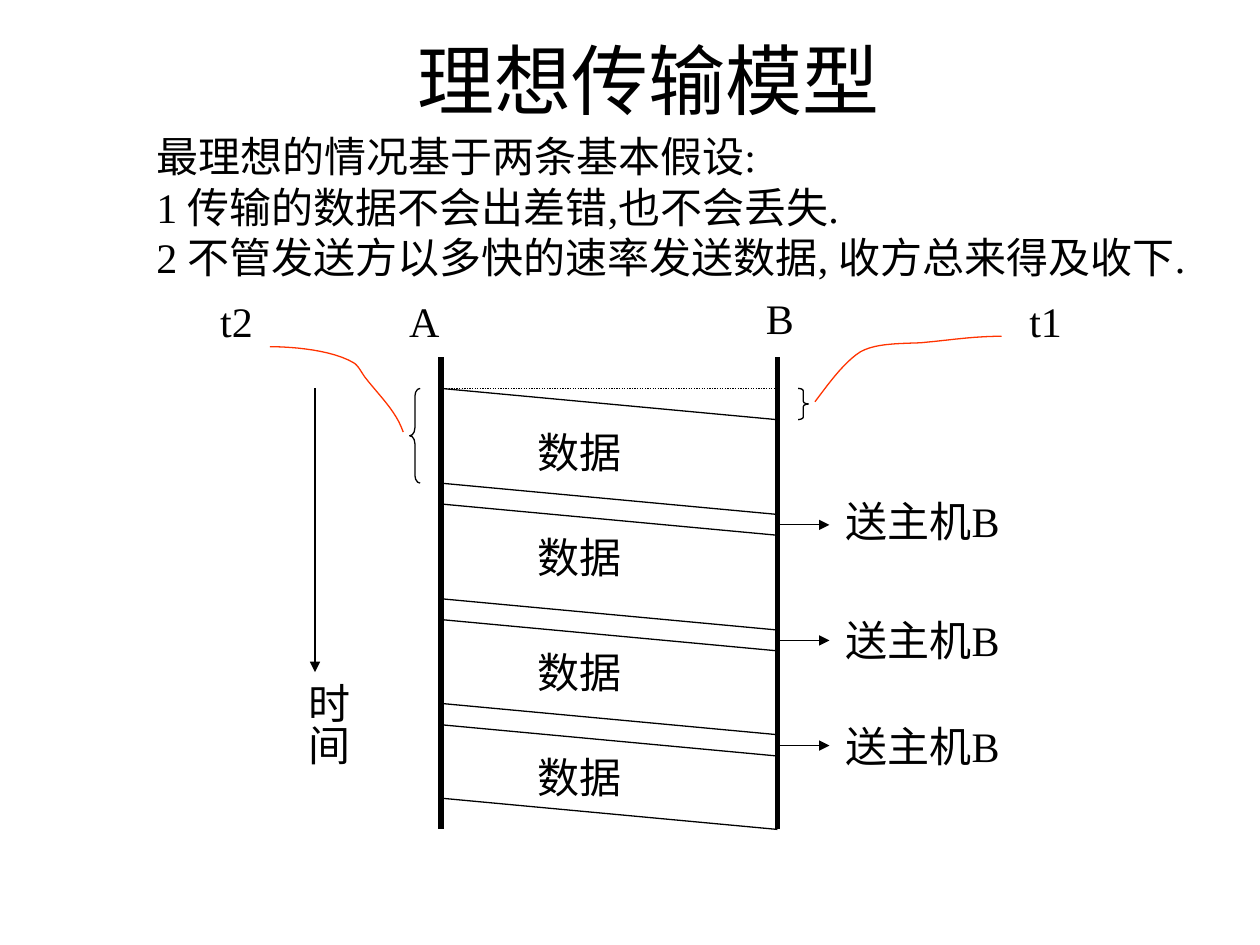
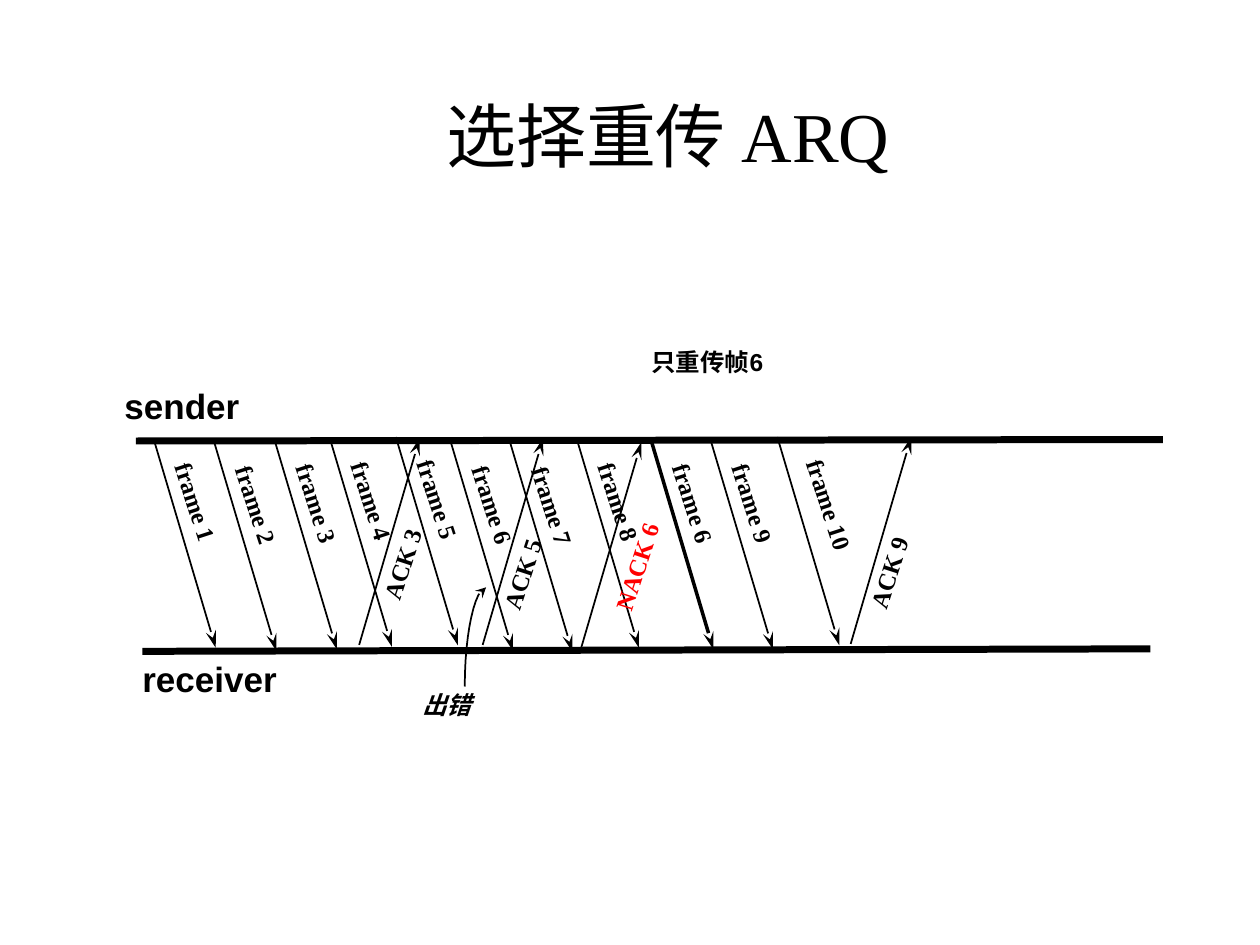
from lxml.etree import SubElement
from pptx import Presentation
from pptx.dml.color import RGBColor
from pptx.enum.dml import MSO_LINE
from pptx.enum.shapes import MSO_CONNECTOR, MSO_SHAPE as Preset
from pptx.enum.text import MSO_ANCHOR, MSO_AUTO_SIZE as AutoSize, PP_ALIGN as Align
from pptx.oxml.ns import qn
from pptx.util import Cm, Pt

COLORS = {"ink": "000000", "callout": "FF3300", "alert": "FF0000"}
SERIF, SANS = "Times New Roman", "Arial"
CURVE_STEPS = 12

# Ideal transmission: time axes of hosts A and B
HOST_A, HOST_B = 8.89, 15.67
AXIS_TOP, AXIS_BOTTOM = 7.2, 16.72
DELAY = 0.63
DATA_BLOCKS = [(7.83, 9.74, 8.47), (10.16, 12.07, 10.58),
               (12.49, 14.18, 12.91), (14.61, 16.09, 15.03)]  # start, end, label top
DELIVERIES = [(10.58, 9.86), (12.91, 12.27), (15.03, 14.4)]  # arrow y, label top

# Selective repeat: where each message leaves its time line
FRAMES = [("frame 1", 3.1, 8.86), ("frame 2", 4.32, 8.92), ("frame 3", 5.54, 8.89),
          ("frame 4", 6.65, 8.84), ("frame 5", 7.98, 8.81), ("frame 6", 9.09, 8.92),
          ("frame 7", 10.29, 8.94), ("frame 8", 11.63, 8.86), ("frame 6", 13.13, 8.89),
          ("frame 9", 14.33, 8.89), ("frame 10", 15.67, 8.81)]
RESENT = 8  # index of the frame that is sent again
REPLIES = [("ACK 3", (7.24, 13), (8.1, 11.37), "ink"),
           ("ACK 5", (9.73, 13), (10.52, 11.57), "ink"),
           ("NACK 6", (11.71, 13.08), (12.83, 11.42), "alert"),
           ("ACK 9", (17.15, 12.98), (17.91, 11.54), "ink")]
MESSAGE_WIDTH, MESSAGE_HEIGHT = 2.8, 0.84


def rgb(name):
    return RGBColor.from_string(COLORS[name])


def write(frame, text, size=24, font=SERIF, color="ink", bold=False, italic=False,
          align=None, plain_list=False):
    """Fill a text frame, one paragraph per line of text."""
    frame.text = text
    for para in frame.paragraphs:
        if plain_list:
            properties = para._p.get_or_add_pPr()
            properties.set("marL", "0")
            properties.set("indent", "0")
            SubElement(properties, qn("a:buNone"))
            para.space_before = Pt(0)
        if align is not None:
            para.alignment = align
        for span in para.runs:
            span.font.size, span.font.name = Pt(size), font
            span.font.bold, span.font.italic = bold, italic
            span.font.color.rgb = rgb(color)


def place(box, left, top, width, height):
    box.left, box.top = Cm(left), Cm(top)
    box.width, box.height = Cm(width), Cm(height)


def add_title(page, text, area, size):
    title = page.shapes.title
    place(title, *area)
    title.text_frame.vertical_anchor = MSO_ANCHOR.MIDDLE
    title.text_frame.auto_size = AutoSize.NONE
    write(title.text_frame, text, size=size, align=Align.CENTER)


def add_label(page, text, left, top, width, height=1.27, angle=0, **style):
    box = page.shapes.add_textbox(Cm(left), Cm(top), Cm(width), Cm(height))
    box.rotation = angle
    frame = box.text_frame
    frame.word_wrap = False
    frame.auto_size = AutoSize.SHAPE_TO_FIT_TEXT
    write(frame, text, **style)
    return box


def style_line(line, width, color="ink", head=None, head_length="med", dash=None):
    line.color.rgb = rgb(color)
    line.width = Pt(width)
    if dash:
        line.dash_style = dash
    if head:
        SubElement(line._get_or_add_ln(), qn("a:tailEnd"), type=head, len=head_length)


def add_line(page, start, end, width=0.75, **style):
    line = page.shapes.add_connector(
        MSO_CONNECTOR.STRAIGHT, *(Cm(value) for value in (*start, *end)))
    style_line(line.line, width, **style)
    SubElement(line.element.spPr, qn("a:effectLst"))


def add_curve(page, start, segments, width=0.75, **style):
    """Draw cubic segments, each given as two control points and an end point."""
    points, origin = [], start
    for first, second, end in segments:
        for step in range(1, CURVE_STEPS + 1):
            t = step / CURVE_STEPS
            u = 1 - t
            points.append(tuple(
                Cm(u**3 * a + 3 * u * u * t * b + 3 * u * t * t * c + t**3 * d)
                for a, b, c, d in zip(origin, first, second, end)))
        origin = end
    builder = page.shapes.build_freeform(Cm(start[0]), Cm(start[1]))
    builder.add_line_segments(points, close=False)
    curve = builder.convert_to_shape()
    curve.fill.background()
    curve.shadow.inherit = False
    style_line(curve.line, width, **style)


def add_brace(page, preset, left, top, height, width=0.21):
    brace = page.shapes.add_shape(preset, Cm(left), Cm(top), Cm(width), Cm(height))
    brace.adjustments[0] = height / 12 / width
    brace.fill.background()
    brace.shadow.inherit = False
    style_line(brace.line, 0.75)


def add_message(page, text, start, end, centre, angle, width=1, color="ink"):
    """Draw an arrow between the time lines with its slanted label."""
    add_line(page, start, end, width, head="stealth", head_length="lg")
    add_label(page, text, centre[0] - MESSAGE_WIDTH / 2, centre[1] - MESSAGE_HEIGHT / 2,
              MESSAGE_WIDTH, MESSAGE_HEIGHT, angle, size=14, bold=True, color=color,
              align=Align.CENTER)


def build_ideal_model(deck):
    page = deck.slides.add_slide(deck.slide_layouts[1])
    add_title(page, "理想传输模型", (2.29, 0, 21.59, 3.18), 44)

    # Assumptions
    body = page.placeholders[1]
    place(body, 2.9, 2.51, 22.05, 3.3)
    body.text_frame.word_wrap = False
    body.text_frame.auto_size = AutoSize.NONE
    write(body.text_frame, "最理想的情况基于两条基本假设:\n"
          "1 传输的数据不会出差错,也不会丢失.\n"
          "2 不管发送方以多快的速率发送数据, 收方总来得及收下.", plain_list=True)

    # Hosts and time direction
    for host in (HOST_A, HOST_B):
        add_line(page, (host, AXIS_TOP), (host, AXIS_BOTTOM), 3)
    add_label(page, "A", 8, 5.84, 1.12)
    add_label(page, "B", 15.19, 5.77, 1.12)
    add_line(page, (6.35, 7.83), (6.35, 13.55), head="triangle")
    time = add_label(page, "时间", 5.74, 13.52, 1.52, 1.96)
    time.element.txBody.bodyPr.set("vert", "eaVert")
    frame = time.text_frame
    frame.margin_left = frame.margin_right = Cm(0.13)
    frame.margin_top = frame.margin_bottom = Cm(0.25)

    # Data blocks and their delivery
    for start, end, label_top in DATA_BLOCKS:
        for y in (start, end):
            add_line(page, (HOST_A, y), (HOST_B, y + DELAY))
        add_label(page, "数据", 10.58, label_top, 2.6)
    for y, label_top in DELIVERIES:
        add_line(page, (HOST_B, y), (16.72, y), head="triangle")
        add_label(page, "送主机B", 16.8, label_top, 4)

    # Propagation and sending times
    first_start, first_end, _ = DATA_BLOCKS[0]
    add_line(page, (HOST_A, first_start), (HOST_B, first_start), dash=MSO_LINE.ROUND_DOT)
    add_brace(page, Preset.RIGHT_BRACE, 16.09, first_start, DELAY)
    add_brace(page, Preset.LEFT_BRACE, 8.26, first_start, first_end - first_start)
    add_curve(page, (16.43, 8.1), [
        ((16.66, 7.8), (16.99, 7.32), (17.35, 7.09)),
        ((17.68, 6.91), (18.21, 6.93), (18.57, 6.91)),
        ((19.13, 6.86), (19.61, 6.78), (20.19, 6.78))], color="callout")
    add_curve(page, (8.13, 8.71), [
        ((7.98, 8.28), (7.65, 7.98), (7.37, 7.62)),
        ((7.29, 7.52), (7.24, 7.39), (7.14, 7.32)),
        ((6.71, 7.06), (5.92, 6.99), (5.44, 6.99))], color="callout")
    add_label(page, "t1", 20.5, 5.84, 1.3)
    add_label(page, "t2", 4.19, 5.84, 1.3)


def build_selective_repeat(deck):
    page = deck.slides.add_slide(deck.slide_layouts[5])
    add_title(page, "选择重传 ARQ", (3.3, 1.12, 20.32, 3.18), 40)

    # Time lines
    add_line(page, (2.74, 8.89), (23.44, 8.86), 4)
    add_line(page, (2.87, 13.13), (23.19, 13.08), 4)
    add_label(page, "sender", 2.26, 7.62, 3, 1.09, size=20, font=SANS, bold=True)
    add_label(page, "receiver", 2.62, 13.13, 3.4, 1.09, size=20, font=SANS, bold=True)

    # Frames go down, replies come back up
    for index, (name, x, y) in enumerate(FRAMES):
        nudge = 0.2 if name == "frame 10" else 0
        add_message(page, name, (x, y), (x + 1.25, y + 4.2),
                    (x + 0.85 + nudge, y + 1.26 + nudge / 2), 72,
                    width=2 if index == RESENT else 1)
    for name, (x, y), centre, color in REPLIES:
        add_message(page, name, (x, y), (x + 1.22, y - 4.17), centre, 288, color=color)

    # Remarks
    add_label(page, "只重传帧6", 12.88, 6.88, 3.1, 0.84, size=14, font=SANS, bold=True)
    add_label(page, "出错", 8.26, 13.79, 1.7, 0.84, size=14, font=SANS,
              bold=True, italic=True)
    add_curve(page, (9.37, 13.84), [((9.37, 12.75), (9.58, 11.86), (9.8, 11.84))],
              width=1, head="stealth")


def main():
    deck = Presentation()
    deck.slide_width, deck.slide_height = Cm(25.4), Cm(19.05)
    build_ideal_model(deck)
    build_selective_repeat(deck)
    deck.save("out.pptx")


if __name__ == "__main__":
    main()
